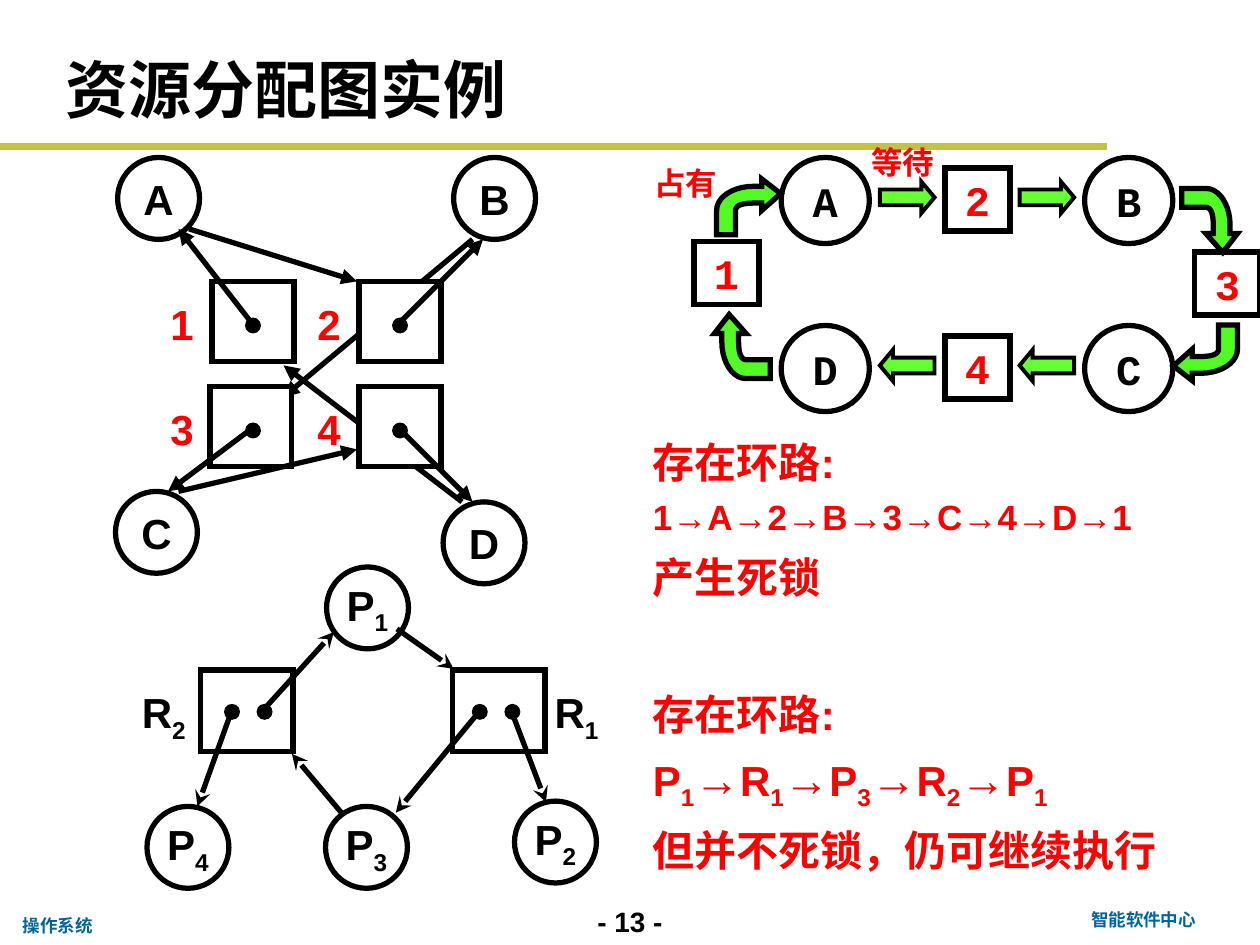
import pptx
import pptx.util
import pptx.dml.color
import pptx.enum.shapes
import pptx.enum.text
import pptx.oxml.ns
from lxml import etree

COLORS = {"ink": "000000", "paper": "FFFFFF", "red": "FF0000", "rule": "C1C43C",
          "footer": "006699", "elbow": "53FB25", "arrow": "66FF33"}
COLUMNS, ROWS = 120, 90
SHAPES = pptx.enum.shapes.MSO_SHAPE
ALIGN = pptx.enum.text.PP_ALIGN
ANCHOR = pptx.enum.text.MSO_ANCHOR
FIT = pptx.enum.text.MSO_AUTO_SIZE


def color(name):
    return pptx.dml.color.RGBColor.from_string(COLORS[name])


def bezier(start, first, second, end, steps=10):
    """Points along a cubic curve, without its start."""
    points = []
    for step in range(1, steps + 1):
        t = step / steps
        weights = ((1 - t) ** 3, 3 * t * (1 - t) ** 2, 3 * t * t * (1 - t), t ** 3)
        points.append(tuple(sum(w * p[axis] for w, p in zip(weights, (start, first, second, end)))
                            for axis in (0, 1)))
    return points


def named(name):
    """A letter followed by its subscript digit."""
    return [(name[0], 24, False), (name[1], 24, True)]


class Slide:
    """Places elements on a grid of 120 columns by 90 rows."""

    def __init__(self, deck):
        self.deck = deck
        self.page = deck.slides.add_slide(deck.slide_layouts[5])
        self.shapes = self.page.shapes

    def x(self, columns):
        return round(self.deck.slide_width * columns / COLUMNS)

    def y(self, rows):
        return round(self.deck.slide_height * rows / ROWS)

    def frame(self, left, top, width, height):
        return self.x(left), self.y(top), self.x(width), self.y(height)

    def set_text(self, shape, lines, tone="ink", font="Arial", align=ALIGN.CENTER, wrap=False):
        """Fill a shape with one paragraph; lines are lists of (words, size, subscript)."""
        shape.text_frame.word_wrap = wrap
        para = shape.text_frame.paragraphs[0]
        para.alignment = align
        for number, line in enumerate(lines):
            if number:
                para.add_line_break()
            for words, size, subscript in line:
                span = para.add_run()
                span.text = words
                span.font.name, span.font.bold = font, True
                span.font.size = pptx.util.Pt(size)
                span.font.color.rgb = color(tone)
                if subscript:
                    span._r.get_or_add_rPr().set("baseline", "-25000")
        return para

    def title(self, words, *area):
        box = self.shapes.title
        box.left, box.top, box.width, box.height = self.frame(*area)
        box.text_frame.vertical_anchor = ANCHOR.MIDDLE
        self.set_text(box, [[(words, 36, False)]], align=ALIGN.LEFT, wrap=True)

    def text(self, lines, area, **style):
        box = self.shapes.add_textbox(*self.frame(*area))
        para = self.set_text(box, lines, **style)
        box.text_frame.auto_size = FIT.SHAPE_TO_FIT_TEXT
        return para

    def note(self, lines, top, height):
        para = self.text(lines, (55, top, 65, height), tone="red", align=ALIGN.LEFT, wrap=True)
        para.line_spacing = 1.2
        para._p.get_or_add_pPr().set("marL", str(pptx.util.Inches(0.5)))

    def paint(self, shape, fill, width=3):
        shape.shadow.inherit = False
        shape.fill.solid()
        shape.fill.fore_color.rgb = color(fill)
        shape.line.color.rgb = color("ink")
        shape.line.width = pptx.util.Pt(width)
        outline = shape.line._get_or_add_ln()
        etree.SubElement(outline, pptx.oxml.ns.qn("a:miter"), lim="800000")
        return shape

    def node(self, kind, area, line=(), fill="paper", **style):
        shape = self.paint(self.shapes.add_shape(kind, *self.frame(*area)), fill)
        if line:
            shape.text_frame.vertical_anchor = ANCHOR.MIDDLE
            self.set_text(shape, [line], **style)

    def dot(self, column, row):
        self.node(SHAPES.OVAL, (column - 0.5, row - 0.5, 1, 1), fill="ink")

    def line(self, ends, tone="ink", width=3, head=None):
        x1, y1, x2, y2 = ends
        line = self.shapes.add_connector(pptx.enum.shapes.MSO_CONNECTOR.STRAIGHT,
                                         self.x(x1), self.y(y1), self.x(x2), self.y(y2))
        line.line.color.rgb = color(tone)
        line.line.width = pptx.util.Pt(width)
        if head:
            etree.SubElement(line.line._get_or_add_ln(), pptx.oxml.ns.qn("a:tailEnd"), type=head)
        etree.SubElement(line._element.spPr, pptx.oxml.ns.qn("a:effectLst"))

    def block_arrow(self, left, top, turn):
        shape = self.shapes.add_shape(SHAPES.RIGHT_ARROW, *self.frame(left, top, 5.2, 3))
        shape.adjustments[0], shape.adjustments[1] = 0.5, 0.417
        shape.rotation = turn
        self.paint(shape, "arrow", 2.25)

    def elbow_arrow(self, center_x, center_y, turn):
        outer = bezier((3.5, 0.7), (1.6, 0.7), (0, 1.7), (0, 3))
        inner = bezier((1.8, 3), (1.8, 2.5), (2.5, 2.3), (3.5, 2.3))
        points = [(6.1, 1.4), (4.3, 0), (4.3, 0.7), (3.5, 0.7), *outer,
                  (0, 5.3), (1.8, 5.3), (1.8, 3), *inner, (4.3, 2.3), (4.3, 3)]
        places = [(self.x(center_x - 3.05 + x), self.y(center_y - 2.65 + y)) for x, y in points]
        builder = self.shapes.build_freeform(*places[0])
        builder.add_line_segments(places[1:], close=True)
        shape = self.paint(builder.convert_to_shape(), "elbow")
        shape.rotation = turn


def main():
    deck = pptx.Presentation()
    deck.slide_width, deck.slide_height = pptx.util.Inches(10), pptx.util.Inches(7.5)
    slide = Slide(deck)

    # Title, rule and footer
    slide.line((0, 14, 105.4, 14), tone="rule", width=4)
    slide.title("资源分配图实例", 5, 4, 103, 8.9)
    slide.text([[("- 13 -", 16, False)]], (54, 85.6, 12, 4.4), wrap=True)
    slide.text([[("智能软件中心", 10, False)]], (99, 86, 19.8, 3.2), tone="footer", wrap=True)
    slide.text([[("操作系统", 10, False)]], (1, 86.6, 9.6, 3.2), tone="footer", align=ALIGN.LEFT)

    # Ring of processes and resources
    for name, left, top in (("1", 66.1, 23), ("2", 90, 16), ("3", 113.8, 24), ("4", 90, 32)):
        slide.node(SHAPES.RECTANGLE, (left, top, 6.2, 6), [(name, 24, False)],
                   tone="red", font="Courier New")
    for name, left, top in (("A", 74.4, 15), ("B", 103.3, 15), ("C", 103.3, 31), ("D", 74.4, 31)):
        slide.node(SHAPES.OVAL, (left, top, 8.4, 8.2), [(name, 24, False)], font="Courier New")
    for left in (83.8, 97.1):
        slide.block_arrow(left, 17.3, 0)
        slide.block_arrow(left, 33.3, 180)
    for number, center in enumerate(((71.3, 19.7), (115.2, 21), (114.8, 33.6), (70.7, 33))):
        slide.elbow_arrow(*center, 90 * number)
    for words, left, top in (("占有", 61.1, 15), ("等待", 81.8, 13)):
        slide.text([[(words, 18, False)]], (left, top, 8.4, 4.8), tone="red", font="Courier New")

    # Deadlocked allocation graph: lines behind, nodes, lines in front
    for ends in ((45, 22.8, 27, 37.8), (44, 47.8, 27, 34.8)):
        slide.line(ends, head="triangle")
    for name, left, top in (("1", 20.2, 26.8), ("2", 34.2, 26.8), ("3", 20, 36.8), ("4", 34.2, 36.8)):
        slide.node(SHAPES.RECTANGLE, (left, top, 7.8, 7.6))
        column = 24.1 if name in "13" else 38.1
        slide.dot(column, top + 4.2)
        slide.text([[(name, 24, False)]], (column - 9.1, top + 1, 4.7, 6), tone="red")
    for name, left, top in (("A", 11.2, 15), ("B", 43.2, 15), ("C", 11, 46.8), ("D", 42.2, 47.8)):
        slide.node(SHAPES.OVAL, (left, top, 7.8, 7.8), [(name, 24, False)])
    for ends in ((24, 30.8, 17, 21.8), (38, 30.8, 46, 22.8), (24, 40.8, 16, 46.8),
                 (38, 40.8, 45, 47.8), (17, 46.8, 34, 42.8), (18, 21.8, 34, 26.8)):
        slide.line(ends, head="triangle")

    # Allocation graph with a cycle but no deadlock
    for name, left, top in (("P1", 31.1, 54), ("P2", 49, 76.3), ("P3", 31, 76.8), ("P4", 14, 76.8)):
        slide.node(SHAPES.OVAL, (left, top, 7.8, 7.8), named(name))
    for name, left, label, dots in (("R2", 19.1, 12.2, (22.1, 25.2)), ("R1", 43.1, 51.5, (45.7, 48.8))):
        slide.node(SHAPES.RECTANGLE, (left, 63.8, 8.8, 7.8))
        for column in dots:
            slide.dot(column, 67.8)
        slide.text([named(name)], (label, 64.8, 6.8, 6))
    for ends in ((37.8, 59.9, 43.2, 63.7), (25.1, 67.6, 31.8, 60.2), (22.1, 67.6, 18.8, 76.8),
                 (32.6, 77.5, 27.8, 71.8), (45.7, 67.7, 37.7, 77.4), (48.7, 67.7, 52, 76.4)):
        slide.line(ends, head="stealth")

    # Conclusions
    cycle = named("P1")
    for name in ("R1", "P3", "R2", "P1"):
        cycle += [("→", 26, False), *named(name)]
    heading = [("存在环路:", 24, False)]
    slide.note([heading, [("1→A→2→B→3→C→4→D→1", 20, False)]], 40, 11.8)
    slide.note([[("产生死锁", 24, False)]], 51, 7)
    slide.note([heading, cycle], 64, 13.2)
    slide.note([[("但并不死锁，仍可继续执行", 24, False)]], 77, 7)

    deck.save("out.pptx")


if __name__ == "__main__":
    main()
